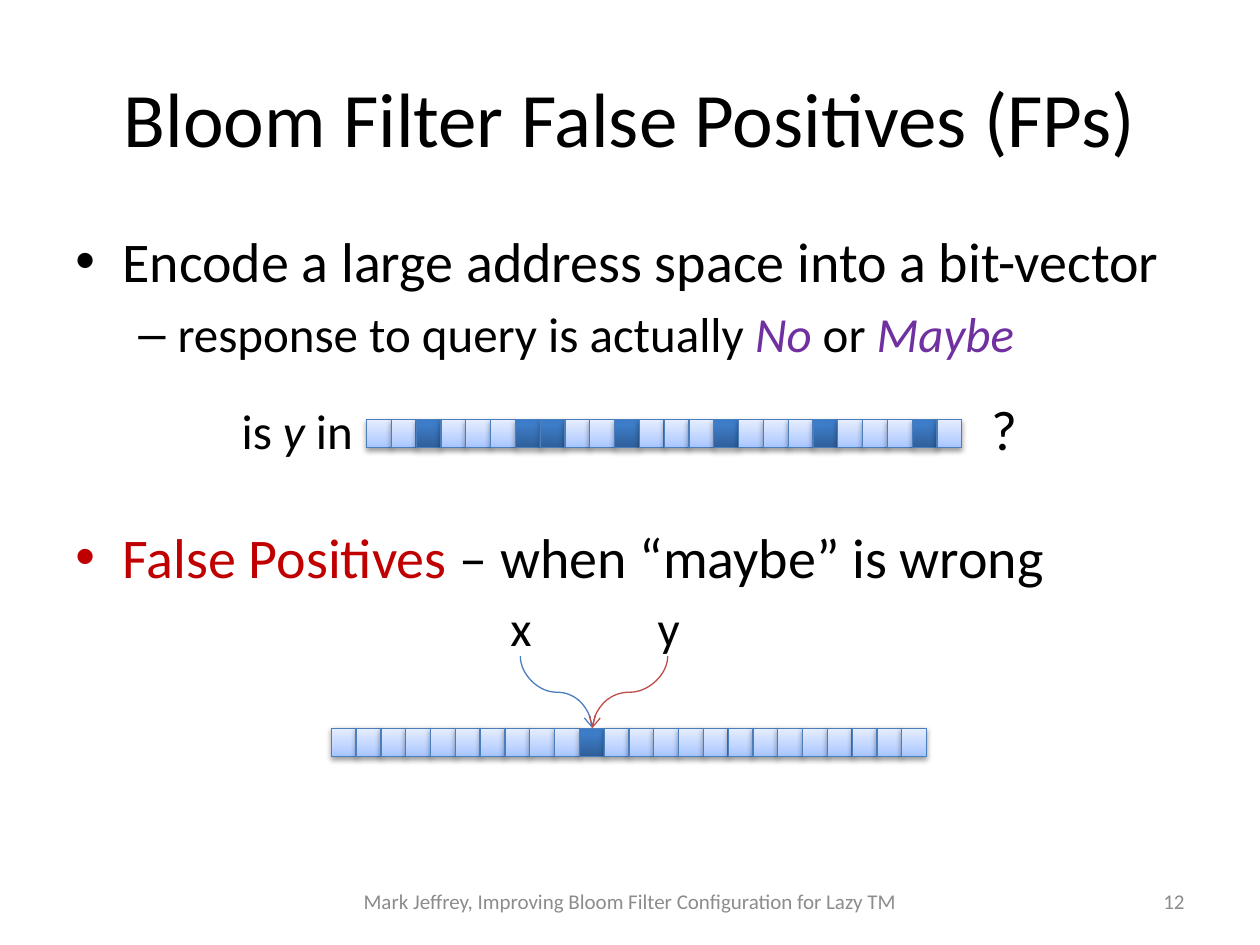
from lxml.etree import SubElement
from pptx import Presentation
from pptx.dml.color import RGBColor
from pptx.enum.shapes import MSO_CONNECTOR as Connector, MSO_SHAPE as Shape
from pptx.enum.text import MSO_ANCHOR as Anchor, PP_ALIGN as Align
from pptx.oxml import parse_xml
from pptx.oxml.ns import nsdecls, qn
from pptx.util import Cm, Pt


def color(value):
    return RGBColor.from_string(value)


def add_runs(paragraph, size, runs):
    for text, value, italic in runs:
        run = paragraph.add_run()
        run.text = text
        run.font.name = "Calibri"
        run.font.size = Pt(size)
        run.font.italic = italic
        run.font.color.rgb = color(value)


BLACK, PURPLE, RED, GRAY = "000000", "7030A0", "C00000", "8C8C8C"
BLUE_LINE, RED_LINE = "4B7EBC", "BF4C48"
CLEAR_BIT = [(0, "A4C4FF"), (35, "BFD4FF"), (100, "E6EEFF")], 38, 1.6
SET_BIT = [(0, "2F5F99"), (80, "3D7CC7"), (100, "3A7CCB")], 35, 1.8

presentation = Presentation()
presentation.slide_width = Cm(25.4)
presentation.slide_height = Cm(19.05)
slide = presentation.slides.add_slide(presentation.slide_layouts[6])

for left, top, width, height, align, size, text, value in [
    (1.27, 0.76, 22.86, 3.18, Align.CENTER, 44, "Bloom Filter False Positives (FPs)", BLACK),
    (6.03, 17.65, 13.34, 1.02, Align.CENTER, 12,
     "Mark Jeffrey, Improving Bloom Filter Configuration for Lazy TM", GRAY),
    (21.38, 17.65, 2.75, 1.02, Align.RIGHT, 12, "12", GRAY),
]:
    frame = slide.shapes.add_textbox(Cm(left), Cm(top), Cm(width), Cm(height)).text_frame
    frame.word_wrap = True
    frame.vertical_anchor = Anchor.MIDDLE
    frame.paragraphs[0].alignment = align
    add_runs(frame.paragraphs[0], size, [(text, value, False)])

body = slide.shapes.add_textbox(Cm(1.27), Cm(4.45), Cm(22.86), Cm(12.57)).text_frame
body.word_wrap = True
for index, (level, bullet, margin, indent, before, size, runs) in enumerate([
    (0, "•", 0.95, -0.95, 0, 32, [("Encode a large address space into a bit-vector", BLACK, False)]),
    (1, "–", 2.06, -0.79, 5.6, 28, [
        ("response to query is actually ", BLACK, False), ("No", PURPLE, True),
        (" or ", BLACK, False), ("Maybe", PURPLE, True)]),
    (0, "•", 0.95, -0.95, 91, 32, [
        ("False Positives ", RED, False), ("– when “maybe” is wrong", BLACK, False)]),
]):
    paragraph = body.add_paragraph() if index else body.paragraphs[0]
    paragraph.level = level
    paragraph.space_before = Pt(before)
    properties = paragraph._p.get_or_add_pPr()
    properties.set("marL", str(Cm(margin)))
    properties.set("indent", str(Cm(indent)))
    SubElement(properties, qn("a:buFont"), typeface="Arial")
    SubElement(properties, qn("a:buChar"), char=bullet)
    add_runs(paragraph, size, runs)

query = slide.shapes.add_group_shape()
collision = slide.shapes.add_group_shape()

for group, row_left, row_top, set_bits in [
    (query, 7.39, 8.46, {2, 6, 7, 10, 14, 18, 22}),
    (collision, 6.68, 14.68, {10}),
]:
    for bit in range(24):
        stops, opacity, distance = SET_BIT if bit in set_bits else CLEAR_BIT
        cell = group.shapes.add_shape(
            Shape.RECTANGLE, Cm(row_left + bit * 0.5), Cm(row_top), Cm(0.5), Cm(0.57))
        cell.line.color.rgb = color(BLUE_LINE)
        cell.line.width = Pt(0.75)
        cell.shadow.inherit = False
        stop_xml = "".join(
            f'<a:gs pos="{position * 1000}"><a:srgbClr val="{value}"/></a:gs>'
            for position, value in stops)
        cell_properties = cell._element.spPr
        cell_properties.insert(2, parse_xml(
            f'<a:gradFill {nsdecls("a")} rotWithShape="1"><a:gsLst>{stop_xml}</a:gsLst>'
            '<a:lin ang="16200000" scaled="0"/></a:gradFill>'))
        cell_properties.find(qn("a:effectLst")).append(parse_xml(
            f'<a:outerShdw {nsdecls("a")} blurRad="{Pt(3.1)}" dist="{Pt(distance)}" '
            'dir="5400000" rotWithShape="0"><a:srgbClr val="000000">'
            f'<a:alpha val="{opacity * 1000}"/></a:srgbClr></a:outerShdw>'))

for group, left, top, width, height, inset, size, runs in [
    (query, 4.62, 7.95, 2.79, 1.45, True, 28,
     [("is ", BLACK, False), ("y ", BLACK, True), ("in", BLACK, False)]),
    (query, 19.74, 7.82, 1.04, 1.63, True, 32, [("?", BLACK, False)]),
    (collision, 10.29, 12.04, 0.43, 1.19, False, 28, [("x", BLACK, False)]),
    (collision, 13.26, 12.04, 0.46, 1.19, False, 28, [("y", BLACK, False)]),
]:
    frame = group.shapes.add_textbox(Cm(left), Cm(top), Cm(width), Cm(height)).text_frame
    frame.word_wrap = False
    if not inset:
        frame.margin_left = frame.margin_right = frame.margin_top = frame.margin_bottom = 0
    add_runs(frame.paragraphs[0], size, runs)

target, arrow_top, arrow_bottom = 11.94, 13.23, 14.68
drop = arrow_bottom - arrow_top
for start, value, turn in [
    (10.49, BLUE_LINE, {"rot": "16200000", "flipH": "1"}),
    (13.46, RED_LINE, {"rot": "5400000"}),
]:
    span = abs(target - start)
    left = (start + target - drop) / 2
    top = (arrow_top + arrow_bottom - span) / 2
    arrow = collision.shapes.add_connector(
        Connector.CURVE, Cm(left), Cm(top), Cm(left + drop), Cm(top + span))
    arrow.line.color.rgb = color(value)
    arrow.line.width = Pt(0.75)
    arrow_properties = arrow._element.spPr
    for name, setting in turn.items():
        arrow_properties.find(qn("a:xfrm")).set(name, setting)
    SubElement(arrow_properties.find(qn("a:ln")), qn("a:tailEnd"), type="arrow")
    SubElement(arrow_properties, qn("a:effectLst"))

presentation.save("out.pptx")
